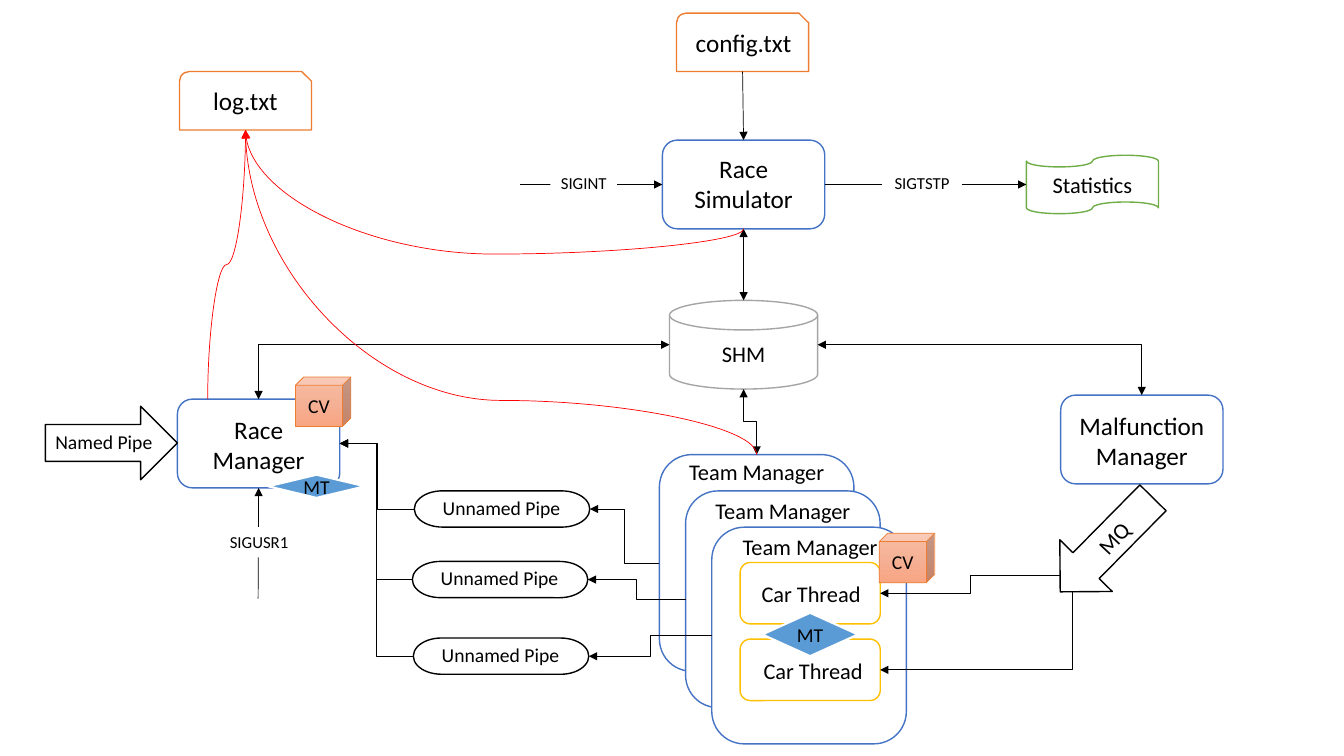
import copy

import pptx
import pptx.dml.color
import pptx.enum.shapes
import pptx.enum.text
import pptx.oxml.ns
import pptx.util
from lxml import etree

RGB = pptx.dml.color.RGBColor
SHAPE = pptx.enum.shapes.MSO_SHAPE
LINE = pptx.enum.shapes.MSO_CONNECTOR
ALIGN = pptx.enum.text.PP_ALIGN
ANCHOR = pptx.enum.text.MSO_ANCHOR
qn = pptx.oxml.ns.qn

BLACK, WHITE, RED = RGB(0, 0, 0), RGB(255, 255, 255), RGB(255, 0, 0)
BLUE, ORANGE, GREEN = RGB(0x44, 0x72, 0xC4), RGB(0xED, 0x7D, 0x31), RGB(0x70, 0xAD, 0x47)
GREY, GOLD, SKY = RGB(0xA5, 0xA5, 0xA5), RGB(0xFF, 0xC0, 0x00), RGB(0x5B, 0x9B, 0xD5)
PEACH = [RGB(0xF7, 0xBD, 0xA5), RGB(0xF5, 0xB1, 0x96), RGB(0xF8, 0xA5, 0x82)]
FONT = "Calibri"
PX = 9144  # EMU in one px
TOP, LEFT, BOTTOM, RIGHT = range(4)

# Content: name, preset, (left, top, width, height), outline, rotation
NODES = [
    ("stats", SHAPE.WAVE, (1018, 154, 131, 58), GREEN, 0),
    ("config", SHAPE.SNIP_ROUND_RECTANGLE, (671, 13, 131, 58), ORANGE, 0),
    ("log", SHAPE.SNIP_ROUND_RECTANGLE, (178, 71, 131, 58), ORANGE, 0),
    ("simulator", SHAPE.ROUNDED_RECTANGLE, (657, 139, 161, 88), BLUE, 0),
    ("race", SHAPE.ROUNDED_RECTANGLE, (176, 396, 161, 88), BLUE, 0),
    ("malfunction", SHAPE.ROUNDED_RECTANGLE, (1052, 392, 161, 88), BLUE, 0),
    *[(f"team{i}", SHAPE.ROUNDED_RECTANGLE, (654 + 26 * i, 451 + 36 * i, 193, 215), BLUE, 0)
      for i in range(3)],
    ("memory", SHAPE.FLOWCHART_MAGNETIC_DISK, (664, 298, 147, 88), GREY, 0),
    ("car0", SHAPE.ROUNDED_RECTANGLE, (734, 558, 139, 61), GOLD, 0),
    ("car1", SHAPE.ROUNDED_RECTANGLE, (734, 634, 139, 61), GOLD, 0),
    ("named", SHAPE.RIGHT_ARROW, (45, 403, 131, 73), BLACK, 0),
    ("queue", SHAPE.RIGHT_ARROW, (1032, 504, 131, 73), BLACK, 134.6),
]
PIPES = [(411, 487), (409, 557), (410, 633)]
for number, (left, top) in enumerate(PIPES):
    NODES.append((f"pipe{number}", SHAPE.FLOWCHART_TERMINATOR, (left, top, 174, 36), BLACK, 0))
NODES[0] = ("stats", SHAPE.FLOWCHART_PUNCHED_TAPE, *NODES[0][2:])

# Text, (left, top, width, height), size
CAPTIONS = [
    ("config.txt", (676, 22, 123, 40), 18),
    ("log.txt", (182, 80, 123, 40), 18),
    ("Race Simulator", (657, 147, 161, 71), 18),
    ("Malfunction Manager", (1052, 402, 161, 71), 18),
    ("Race Manager", (176, 406, 161, 71), 18),
    ("Team Manager", (660, 450, 181, 37), 16),
    ("Team Manager", (686, 488, 181, 37), 16),
    ("Team Manager", (713, 524, 181, 37), 16),
    ("Car Thread", (736, 571, 137, 37), 16),
    ("Car Thread", (738, 647, 137, 37), 16),
    ("SHM", (669, 333, 137, 37), 16),
    ("Statistics", (1018, 165, 131, 37), 16),
    *[("Unnamed Pipe", (left, top, 173, 34), 14) for left, top in PIPES],
]
SIGNALS = [
    ("SIGINT", (546, 166, 66, 30)),
    ("SIGTSTP", (875, 166, 79, 30)),
    ("SIGUSR1", (200, 523, 114, 30)),
]

# Start, end (a node's side or a free point), then format
ELBOW = dict(kind=LINE.ELBOW)
BOTH = dict(heads=("headEnd", "tailEnd"))
CORNER = dict(kind=LINE.ELBOW, preset="bentConnector2", **BOTH)
CURVE = dict(kind=LINE.CURVE, color=RED, vertical=True)
LINKS = [
    (("config", BOTTOM), ("simulator", TOP), {}),
    ((516, 183), ("simulator", LEFT), {}),
    (("simulator", RIGHT), ("stats", LEFT), {}),
    ((256, 594), ("race", BOTTOM), {}),
    ((1052, 571), ("car0", RIGHT), ELBOW),
    ((1060, 587), ("car1", RIGHT), dict(bend=-0.022, **ELBOW)),
    *[((f"team{i}", LEFT), (f"pipe{i}", RIGHT), ELBOW) for i in range(3)],
    *[((f"pipe{i}", LEFT), ("race", RIGHT), ELBOW) for i in range(3)],
    (("memory", LEFT), ("race", TOP), CORNER),
    (("memory", RIGHT), ("malfunction", TOP), CORNER),
    (("simulator", BOTTOM), ("memory", TOP), BOTH),
    (("memory", BOTTOM), ("team0", TOP), dict(vertical=True, **ELBOW, **BOTH)),
    ((206, 396), ("log", BOTTOM), CURVE),
    (("team0", TOP), ("log", BOTTOM), dict(bend=0.167, **CURVE)),
    (("simulator", BOTTOM), ("log", BOTTOM), dict(bend=-0.256, **CURVE)),
]
DIAMONDS = [(756, 608, 95, 43), (266, 471, 96, 23)]
CUBES = [(872, 529, 55, 49), (293, 374, 55, 49)]

deck = pptx.Presentation()
deck.slide_width, deck.slide_height = 1333 * PX, 750 * PX
page = deck.slides.add_slide(deck.slide_layouts[6])
nodes = {}


def emu(lengths):
    return [round(length * PX) for length in lengths]


def add_node(preset, frame, outline, fill=WHITE, width=1, rotation=0):
    shape = page.shapes.add_shape(preset, *emu(frame))
    shape.shadow.inherit = False
    shape.rotation = rotation
    shape.fill.solid()
    shape.fill.fore_color.rgb = fill
    shape.line.color.rgb = outline
    shape.line.width = pptx.util.Pt(width)
    return shape


def write(text, size, frame=None, box=None, align=ALIGN.CENTER, anchor=ANCHOR.TOP,
          wrap=True, rotation=0):
    box = box or page.shapes.add_textbox(*emu(frame))
    box.rotation = rotation
    box.text_frame.word_wrap = wrap
    box.text_frame.vertical_anchor = anchor
    para = box.text_frame.paragraphs[0]
    para.alignment = align
    span = para.add_run()
    span.text = text
    span.font.name, span.font.size = FONT, pptx.util.Pt(size)
    span.font.color.rgb = BLACK
    return box


def join(link, end, connect, tag):
    name, side = end
    if isinstance(name, str):
        connect(nodes[name], side)
        if name == "memory":  # a disk has one extra site before its four sides
            link._element.find(".//" + qn(tag)).set("idx", str(side + 1))


def turn(link):
    """Make the link leave its start vertically."""
    x1, y1, x2, y2 = link.begin_x, link.begin_y, link.end_x, link.end_y
    run, rise = abs(x2 - x1), abs(y2 - y1)
    frame = link._element.spPr.xfrm
    frame.flipH, frame.flipV = False, (x2 > x1) == (y2 > y1)
    link.left, link.top = (x1 + x2 - rise) // 2, (y1 + y2 - run) // 2
    link.width, link.height = rise, run
    frame.set("rot", str((90 if y2 > y1 else 270) * 60000))


def add_link(start, end, kind=LINE.STRAIGHT, color=BLACK, heads=("tailEnd",),
             preset=None, bend=None, vertical=False):
    points = [point if isinstance(point[0], int) else (0, 0) for point in (start, end)]
    link = page.shapes.add_connector(kind, *emu(points[0] + points[1]))
    join(link, start, link.begin_connect, "a:stCxn")
    join(link, end, link.end_connect, "a:endCxn")
    if vertical:
        turn(link)
    properties = link._element.spPr
    geometry = properties.find(qn("a:prstGeom"))
    if preset:
        geometry.set("prst", preset)
    if bend is not None:
        guides = geometry.find(qn("a:avLst"))
        if guides is None:
            guides = etree.SubElement(geometry, qn("a:avLst"))
        etree.SubElement(guides, qn("a:gd"), name="adj1", fmla=f"val {round(bend * 100000)}")
    link.line.color.rgb = color
    link.line.width = pptx.util.Pt(0.5)
    for head in heads:
        etree.SubElement(properties.find(qn("a:ln")), qn("a:" + head), type="triangle")
    etree.SubElement(properties, qn("a:effectLst"))


# Nodes and their captions
for name, preset, frame, outline, rotation in NODES:
    nodes[name] = add_node(preset, frame, outline, rotation=rotation)
for text, frame, size in CAPTIONS:
    write(text, size, frame)
write("MQ", 16, (1036, 515, 137, 37), rotation=313.2)
write("Named Pipe", 14, (45, 422, 125, 34), align=ALIGN.LEFT)

# Connectors, then signal labels over them
for start, end, options in LINKS:
    add_link(start, end, **options)
for text, frame in SIGNALS:
    label = write(text, 12, frame, wrap=False)
    label.fill.solid()
    label.fill.fore_color.rgb = WHITE

# Mutex diamonds and condition variable cubes
for frame in DIAMONDS:
    diamond = add_node(SHAPE.FLOWCHART_DECISION, frame, WHITE, fill=SKY, width=1.5)
    write("MT", 14, box=diamond, anchor=ANCHOR.MIDDLE)
for frame in CUBES:
    cube = add_node(SHAPE.CUBE, frame, ORANGE, width=0.5)
    cube.adjustments[0] = 0.169
    cube.fill.gradient()
    cube.fill.gradient_angle = 270
    stops = cube._element.spPr.find(".//" + qn("a:gsLst"))
    stops.insert(1, copy.deepcopy(stops[0]))
    for stop, color, position in zip(cube.fill.gradient_stops, PEACH, (0, 0.5, 1)):
        stop.color.rgb, stop.position = color, position
    write("CV", 14, box=cube, anchor=ANCHOR.MIDDLE)

deck.save("out.pptx")
